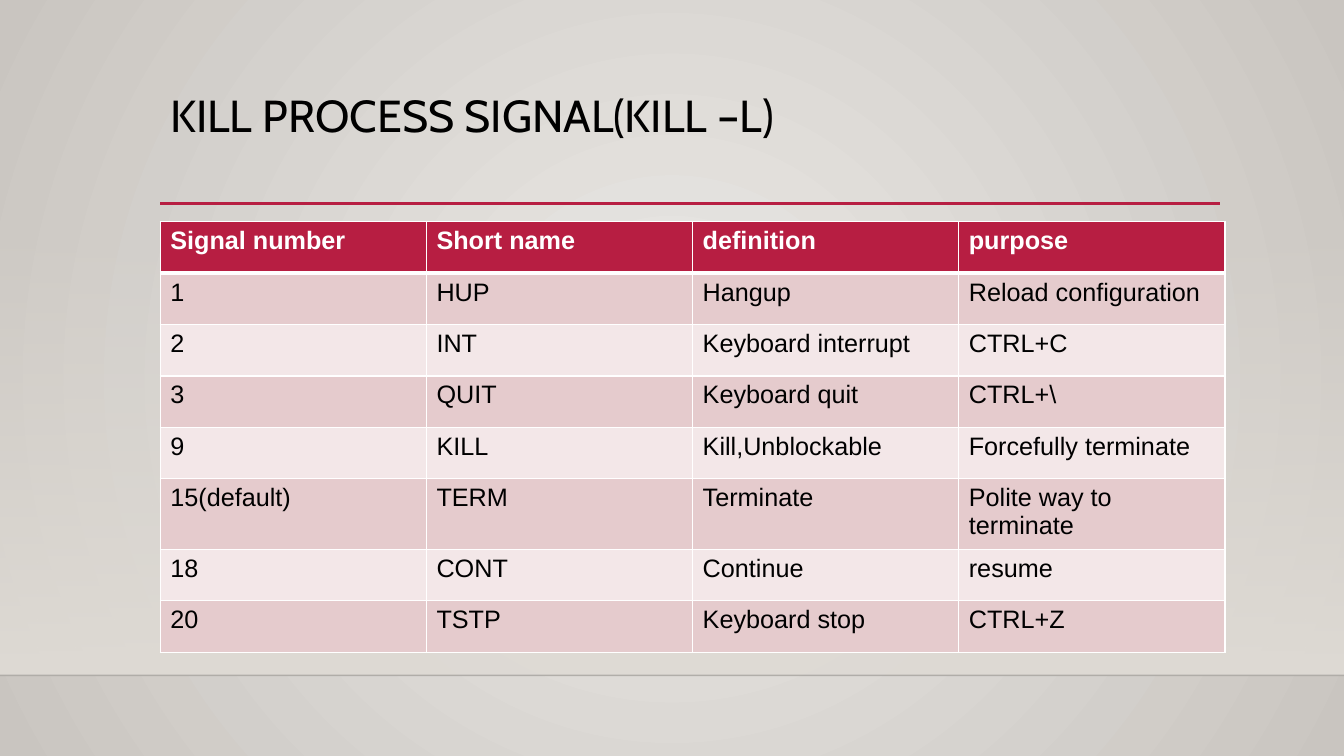
from lxml import etree
from pptx import Presentation
from pptx.dml.color import RGBColor
from pptx.enum.shapes import MSO_CONNECTOR, MSO_SHAPE
from pptx.enum.text import MSO_ANCHOR
from pptx.oxml.ns import qn
from pptx.util import Inches, Pt

RECT = MSO_SHAPE.RECTANGLE
LINE = MSO_CONNECTOR.STRAIGHT
TOP = MSO_ANCHOR.TOP

RED = RGBColor(0xB7, 0x1E, 0x42)
ROSE = RGBColor(0xE5, 0xCB, 0xCD)
PALE = RGBColor(0xF3, 0xE7, 0xE8)
SAND = RGBColor(0xDF, 0xDB, 0xD5)
LIGHT = RGBColor(0xEB, 0xE9, 0xE6)
STONE = RGBColor(0xC9, 0xC5, 0xC0)
WHITE = RGBColor(0xFF, 0xFF, 0xFF)
BLACK = RGBColor(0, 0, 0)

WIDE, HIGH = 13.33, 7.5
LEFT, FLOOR = 1.59, 6.7
COL, ROW = 2.64, 0.51

SIGNALS = [
    ("Signal number", "Short name", "definition", "purpose"),
    ("1", "HUP", "Hangup", "Reload configuration"),
    ("2", "INT", "Keyboard interrupt", "CTRL+C"),
    ("3", "QUIT", "Keyboard quit", "CTRL+\\"),
    ("9", "KILL", "Kill,Unblockable", "Forcefully terminate"),
    ("15(default)", "TERM", "Terminate", "Polite way to terminate"),
    ("18", "CONT", "Continue", "resume"),
    ("20", "TSTP", "Keyboard stop", "CTRL+Z"),
]


def write(frame, text, font="Arial", size=18, color=BLACK, bold=False, space=1.0):
    para = frame.paragraphs[0]
    para.line_spacing = space
    run = para.add_run()
    run.text = text
    run.font.name = font
    run.font.size = Pt(size)
    run.font.bold = bold
    run.font.color.rgb = color


def fade(color, part):
    """Set the opacity, in percent, of a colour element."""
    etree.SubElement(color, qn("a:alpha"), val=str(part * 1000))


def blend(fill, first, last):
    fill.gradient()
    for stop, color in zip(fill.gradient_stops, (first, last)):
        stop.color.rgb = color


def edge(cell, side, place, width):
    line = etree.Element(qn("a:ln" + side), w=str(Pt(width)))
    solid = etree.SubElement(line, qn("a:solidFill"))
    etree.SubElement(solid, qn("a:srgbClr"), val=str(WHITE))
    cell._tc.get_or_add_tcPr().insert(place, line)


class Deck:
    def __init__(self):
        self.show = Presentation()
        self.show.slide_width = Inches(WIDE)
        self.show.slide_height = Inches(HIGH)
        self.slide = self.show.slides.add_slide(self.show.slide_layouts[6])
        self.shapes = self.slide.shapes

    def ground(self, inner, outer):
        blend(self.slide.background.fill, inner, outer)
        grad = self.slide._element.find(".//" + qn("a:gradFill"))
        grad.remove(grad.find(qn("a:lin")))
        ring = etree.SubElement(grad, qn("a:path"), path="circle")
        half = dict.fromkeys("ltrb", "50000")
        etree.SubElement(ring, qn("a:fillToRect"), **half)

    def panel(self, x, y, w, h, color):
        """Add a panel that fades in from its top edge."""
        box = self.shapes.add_shape(RECT, Inches(x), Inches(y), Inches(w), Inches(h))
        box.shadow.inherit = False
        box.line.fill.background()
        blend(box.fill, color, color)
        box.fill.gradient_angle = 270
        fade(box._element.find(".//" + qn("a:srgbClr")), 0)

    def rule(self, x, y, end, color, width, part=100):
        line = self.shapes.add_connector(LINE, Inches(x), Inches(y), Inches(end), Inches(y))
        line.line.color.rgb = color
        line.line.width = Pt(width)
        if part < 100:
            fade(line._element.find(".//" + qn("a:srgbClr")), part)
        etree.SubElement(line._element.spPr, qn("a:effectLst"))

    def title(self, x, y, w, h, text):
        box = self.shapes.add_textbox(Inches(x), Inches(y), Inches(w), Inches(h))
        frame = box.text_frame
        frame.word_wrap = True
        frame.vertical_anchor = TOP
        write(frame, text, font="Cabin", size=32, space=0.9)

    def table(self, x, y, rows):
        wide, high = COL * len(rows[0]), ROW * len(rows)
        grid = self.shapes.add_table(len(rows), len(rows[0]), Inches(x), Inches(y),
                                     Inches(wide), Inches(high)).table
        for col in grid.columns:
            col.width = Inches(COL)
        for r, row in enumerate(rows):
            grid.rows[r].height = Inches(ROW)
            head = r == 0
            for c, text in enumerate(row):
                cell = grid.cell(r, c)
                cell.fill.solid()
                cell.fill.fore_color.rgb = RED if head else ROSE if r % 2 else PALE
                write(cell.text_frame, text, color=WHITE if head else BLACK, bold=head)
                # The line under the header is heavier
                heavy = {0: "B", 1: "T"}.get(r)
                for place, side in enumerate("LRTB"):
                    edge(cell, side, place, 3 if side == heavy else 1)


def main():
    deck = Deck()

    # Backdrop
    deck.ground(LIGHT, STONE)
    deck.panel(0, 2.21, WIDE, FLOOR - 2.21, SAND)
    deck.rule(0, FLOOR, WIDE, BLACK, 1, part=20)

    # Heading
    deck.rule(LEFT, 2.02, 12.1, RED, 2.5)
    deck.title(LEFT, 0.88, 10.5, 1.15, "KILL PROCESS SIGNAL(KILL –L)")

    # Signals
    deck.table(LEFT, 2.2, SIGNALS)

    deck.show.save("out.pptx")


if __name__ == "__main__":
    main()
